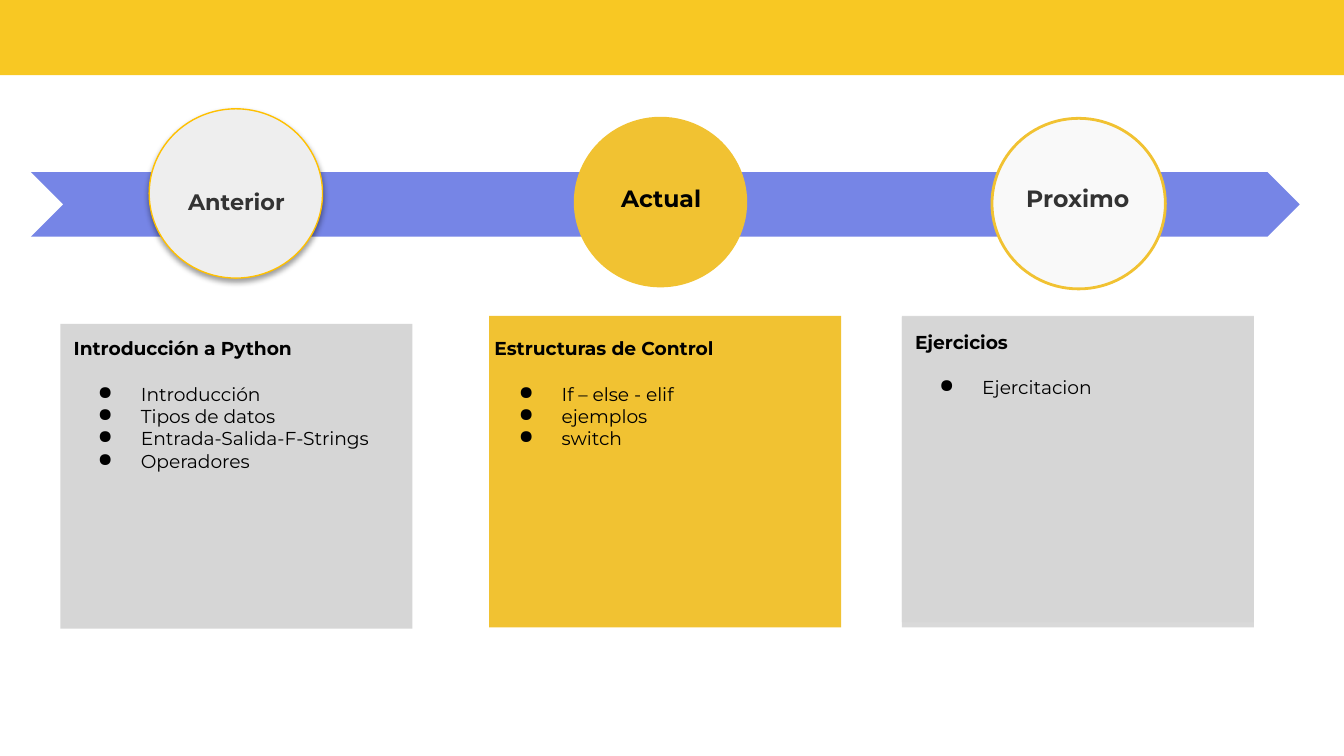
from lxml import etree
from pptx import Presentation
from pptx.dml.color import RGBColor
from pptx.enum.shapes import MSO_SHAPE
from pptx.enum.text import MSO_ANCHOR, PP_ALIGN
from pptx.oxml.ns import qn
from pptx.util import Pt

RECT = MSO_SHAPE.RECTANGLE
OVAL = MSO_SHAPE.OVAL
ARROW = MSO_SHAPE.CHEVRON
TOP = MSO_ANCHOR.TOP
LEFT = PP_ALIGN.LEFT
MID = PP_ALIGN.CENTER
hue = RGBColor.from_string

deck = Presentation()
deck.slide_width, deck.slide_height = Pt(720), Pt(405)
slide = deck.slides.add_slide(deck.slide_layouts[6])


def draw(kind, box, fill, edge=None, width=0):
    shape = slide.shapes.add_shape(kind, *map(Pt, box))
    shape.shadow.inherit = False
    shape.fill.solid()
    shape.fill.fore_color.rgb = hue(fill)
    if edge:
        shape.line.color.rgb = hue(edge)
        shape.line.width = Pt(width)
    else:
        shape.line.fill.background()
    return shape


def write(shape, lines, size, tint, align):
    frame = shape.text_frame
    inset = Pt(7.2)
    form = {"word_wrap": True, "vertical_anchor": TOP, "margin_left": inset,
            "margin_right": inset, "margin_top": inset, "margin_bottom": inset}
    for name, value in form.items():
        setattr(frame, name, value)
    for i, line in enumerate(lines):
        para = frame.add_paragraph() if i else frame.paragraphs[0]
        para.alignment = align
        run = para.add_run()
        run.text = line
        run.font.color.rgb = hue(tint)
        form = {"name": "Montserrat", "size": Pt(size), "bold": i == 0}
        for name, value in form.items():
            setattr(run.font, name, value)
        if i:
            props = para._p.get_or_add_pPr()
            props.set("marL", str(Pt(36)))
            props.set("indent", str(Pt(-23)))
            color = etree.SubElement(props, qn("a:buClr"))
            etree.SubElement(color, qn("a:srgbClr"), val=tint)
            etree.SubElement(props, qn("a:buChar"), char="●")
        elif len(lines) > 1:
            para.space_after = Pt(12.2)


draw(ARROW, (16.6, 92.2, 679.7, 34.6), "7685E6")
draw(OVAL, (307.4, 62.6, 92.9, 91.4), "F1C232")
draw(OVAL, (531.4, 63.4, 92.9, 91.4), "F9F9F9", "F1C232", 1.5)
for left, fill in [(262.1, "F1C232"), (483.1, "D9D9D9")]:
    draw(RECT, (left, 169.2, 188.6, 167), fill)
draw(RECT, (-0.7, -3.6, 722.2, 43.9), "F8C823")

past = draw(OVAL, (79.9, 58.3, 92.9, 90.7), "EEEEEE", "FFC000", 0.75)
glow = etree.SubElement(
    past._element.spPr.find(qn("a:effectLst")), qn("a:outerShdw"),
    blurRad=str(Pt(3.1)), dist=str(Pt(1.6)), dir="5400000", rotWithShape="0")
shade = etree.SubElement(glow, qn("a:srgbClr"), val="000000")
etree.SubElement(shade, qn("a:alpha"), val="38000")

stages = [
    ("Anterior", 90.7, 93.6, 12, "333333"),
    ("Actual", 318.2, 91.4, 12.6, "000000"),
    ("Proximo", 541.4, 91.4, 12.6, "333333"),
]
for label, left, top, size, tint in stages:
    box = slide.shapes.add_textbox(Pt(left), Pt(top), Pt(72), Pt(23.8))
    write(box, [label], size, tint, MID)

cards = [
    (32.4, 173.5, "D6D6D6", ["Introducción a Python", "Introducción", "Tipos de datos",
                             "Entrada-Salida-F-Strings", "Operadores"]),
    (257.8, 173.5, None, ["Estructuras de Control", "If – else - elif", "ejemplos", "switch"]),
    (483.1, 169.9, "D6D6D6", ["Ejercicios", "Ejercitacion"]),
]
for left, top, fill, lines in cards:
    area = (left, top, 188.6, 163.4)
    card = draw(RECT, area, fill) if fill else slide.shapes.add_textbox(*map(Pt, area))
    write(card, lines, 10, "000000", LEFT)

deck.save("out.pptx")
